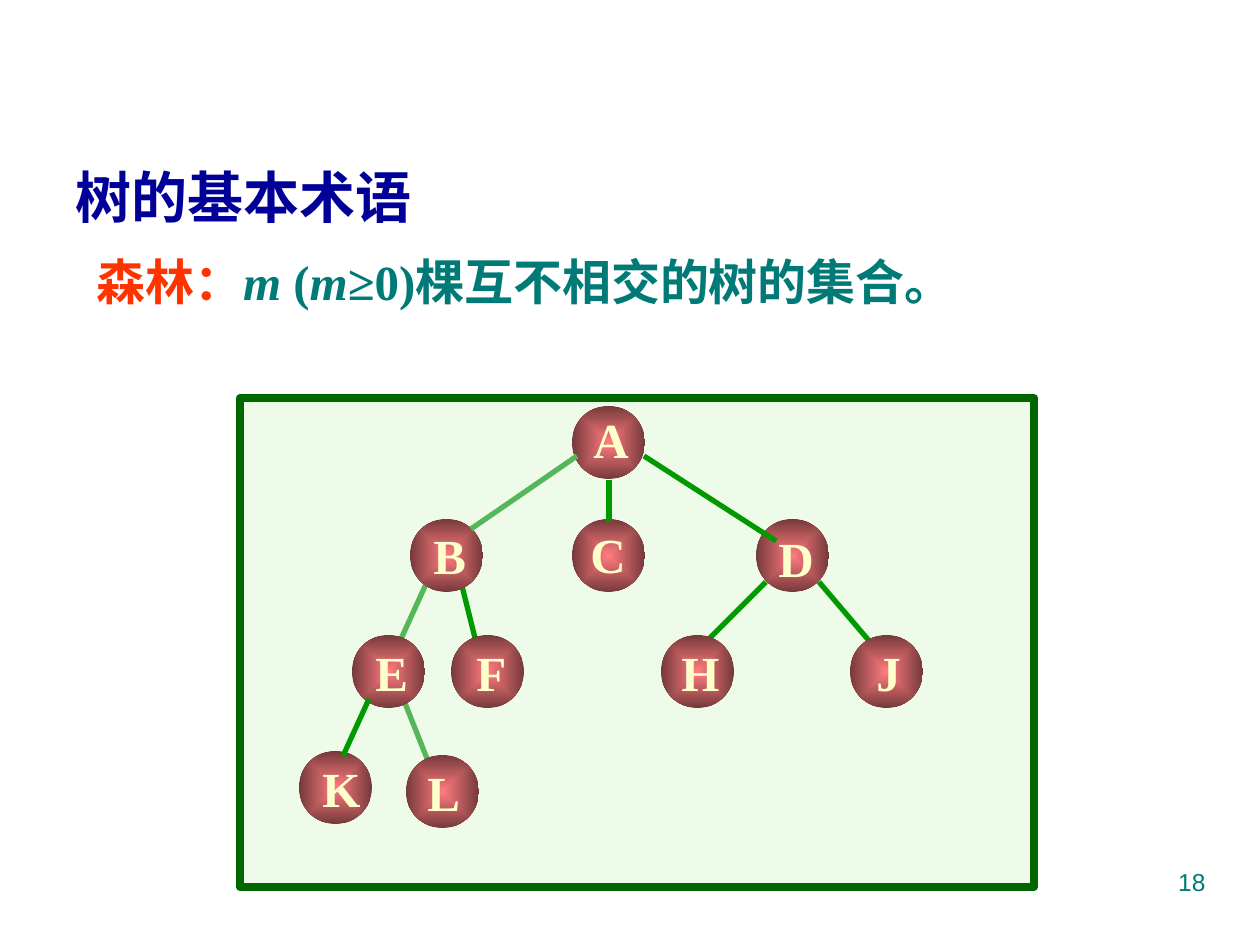
"""Build a slide that defines a forest and shows a tree."""
from dataclasses import dataclass

from lxml.etree import SubElement
from pptx import Presentation
from pptx.dml.color import RGBColor
from pptx.enum.shapes import MSO_CONNECTOR, MSO_SHAPE
from pptx.enum.text import MSO_ANCHOR, MSO_AUTO_SIZE, PP_ALIGN
from pptx.oxml import parse_xml
from pptx.oxml.ns import nsdecls, qn
from pptx.util import Emu, Pt

DARK = RGBColor(0x00, 0x66, 0x00)
PALE = RGBColor(0xEE, 0xFB, 0xE9)
GREEN = RGBColor(0x00, 0x99, 0x00)
LIGHT = RGBColor(0x55, 0xB7, 0x5A)
ROSE = RGBColor(0xFF, 0x7C, 0x80)
WINE = RGBColor(0x76, 0x39, 0x3B)
CREAM = RGBColor(0xFF, 0xFF, 0xCC)
NAVY = RGBColor(0x00, 0x00, 0x99)
RED = RGBColor(0xFF, 0x33, 0x00)
TEAL = RGBColor(0x00, 0x7A, 0x77)
SERIF, SANS = "Times New Roman", "Arial"
BALL, TALL = 73, 72


@dataclass(frozen=True)
class Node:
    """A ball and the place of its letter."""
    name: str
    left: int
    top: int
    text_x: int
    text_y: int
    width: int


@dataclass(frozen=True)
class Edge:
    """A straight branch between two points."""
    x1: int
    y1: int
    x2: int
    y2: int
    color: RGBColor = GREEN


@dataclass(frozen=True)
class Span:
    """A run of text with its look."""
    text: str
    size: int
    color: RGBColor
    font: str = SERIF
    bold: bool = True
    slant: bool = False


ROOT = Node("A", 572, 406, 581, 403, 60)
NODES = [
    Node("B", 410, 519, 421, 519, 58),
    Node("C", 572, 519, 578, 518, 60),
    Node("D", 756, 519, 766, 522, 60),
    Node("E", 352, 635, 363, 636, 58),
    Node("F", 451, 635, 464, 636, 55),
    Node("H", 661, 635, 669, 636, 63),
    Node("J", 850, 635, 864, 636, 49),
    Node("K", 299, 751, 310, 752, 63),
    Node("L", 406, 755, 415, 756, 58),
]
BACK = [
    Edge(819, 582, 882, 656),
    Edge(766, 582, 703, 645),
    Edge(461, 582, 480, 658),
    Edge(403, 698, 428, 761, LIGHT),
    Edge(427, 582, 401, 639, LIGHT),
]
FRONT = [
    Edge(369, 699, 343, 756),
    Edge(644, 456, 776, 541),
    Edge(577, 456, 471, 529, LIGHT),
    Edge(609, 480, 609, 522),
]
TERM = [
    Span("森林：", 28, RED),
    Span("m", 28, TEAL, slant=True),
    Span(" (", 28, TEAL),
    Span("m", 28, TEAL, slant=True),
    Span("≥0)棵互不相交的树的集合。", 28, TEAL),
]


def px(count: int) -> Emu:
    """Turn pixels into EMU."""
    return Emu(round(count * 914400 / 126))


def write(shape, spans: list[Span], wrap: bool = True, fit: bool = True,
          anchor=MSO_ANCHOR.TOP, align=PP_ALIGN.LEFT):
    """Fill a shape with one line of runs."""
    frame = shape.text_frame
    frame.word_wrap = wrap
    frame.auto_size = MSO_AUTO_SIZE.SHAPE_TO_FIT_TEXT if fit else MSO_AUTO_SIZE.NONE
    frame.vertical_anchor = anchor
    line = frame.paragraphs[0]
    line.alignment = align
    for span in spans:
        run = line.add_run()
        run.text = span.text
        font = run.font
        font.name, font.size = span.font, Pt(span.size)
        font.bold, font.italic = span.bold, span.slant
        font.color.rgb = span.color
    return line


def add_box(slide, left: int, top: int, width: int, height: int):
    """Add an empty text box."""
    return slide.shapes.add_textbox(px(left), px(top), px(width), px(height))


def add_frame(slide) -> None:
    """Draw the panel behind the tree."""
    panel = slide.shapes.add_shape(
        MSO_SHAPE.RECTANGLE, px(240), px(398), px(794), px(489))
    panel.shadow.inherit = False
    panel.fill.solid()
    panel.fill.fore_color.rgb = PALE
    panel.line.color.rgb = DARK
    panel.line.width = Pt(4.5)


def add_edge(slide, edge: Edge) -> None:
    """Draw one branch."""
    link = slide.shapes.add_connector(
        MSO_CONNECTOR.STRAIGHT, px(edge.x1), px(edge.y1), px(edge.x2), px(edge.y2))
    link.line.color.rgb = edge.color
    link.line.width = Pt(3)
    SubElement(link._element.spPr, qn("a:effectLst"))


def add_ball(slide, node: Node) -> None:
    """Draw a ball that glows from its middle."""
    ball = slide.shapes.add_shape(
        MSO_SHAPE.OVAL, px(node.left), px(node.top), px(BALL), px(BALL))
    ball.shadow.inherit = False
    ball.line.fill.background()
    ball._element.spPr.find(qn("a:prstGeom")).addnext(parse_xml(
        f'<a:gradFill {nsdecls("a")} rotWithShape="0"><a:gsLst>'
        f'<a:gs pos="0"><a:srgbClr val="{ROSE}"/></a:gs>'
        f'<a:gs pos="100000"><a:srgbClr val="{WINE}"/></a:gs></a:gsLst>'
        '<a:path path="rect"><a:fillToRect l="50000" t="50000" r="50000" b="50000"/>'
        '</a:path></a:gradFill>'))


def add_name(slide, node: Node) -> None:
    """Write the letter of a ball."""
    box = add_box(slide, node.text_x, node.text_y, node.width, TALL)
    write(box, [Span(node.name, 28, CREAM)], wrap=False, anchor=MSO_ANCHOR.MIDDLE)


def main() -> None:
    """Build and save the slide."""
    deck = Presentation()
    deck.slide_width, deck.slide_height = px(1260), px(945)
    slide = deck.slides.add_slide(deck.slide_layouts[5])
    title = slide.shapes.title
    title.left, title.top, title.width, title.height = px(63), px(156), px(546), px(81)
    write(title, [Span("树的基本术语", 32, NAVY, SANS)])
    write(add_box(slide, 84, 239, 1092, 78), TERM).line_spacing = 1.1

    add_frame(slide)
    for edge in BACK:
        add_edge(slide, edge)
    for node in [ROOT, *NODES]:
        add_ball(slide, node)
    for node in NODES:
        add_name(slide, node)
    for edge in FRONT:
        add_edge(slide, edge)
    add_name(slide, ROOT)

    write(add_box(slide, 903, 861, 315, 66), [Span("18", 14, TEAL, SANS, bold=False)],
          fit=False, align=PP_ALIGN.RIGHT)
    deck.save("out.pptx")


if __name__ == "__main__":
    main()
